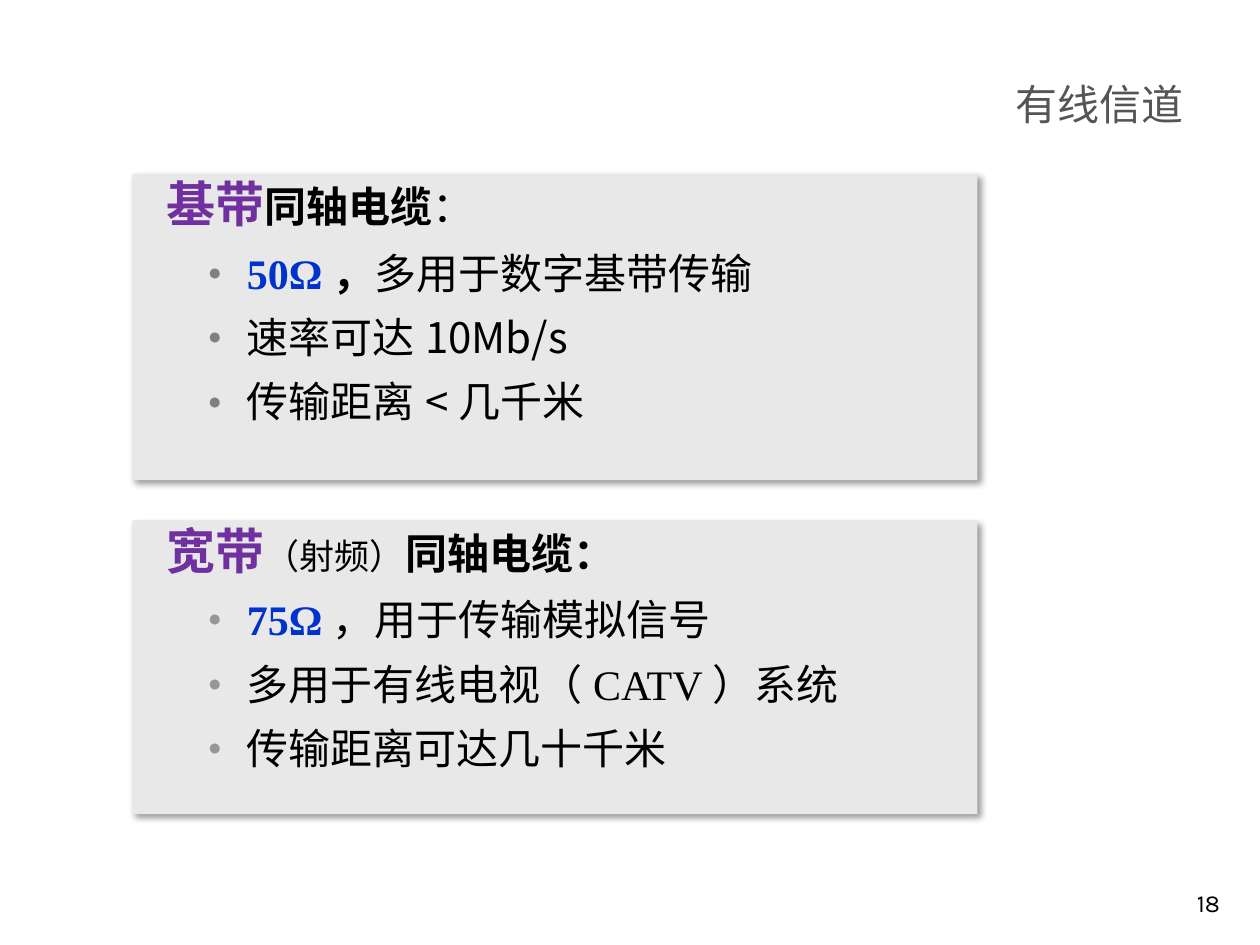
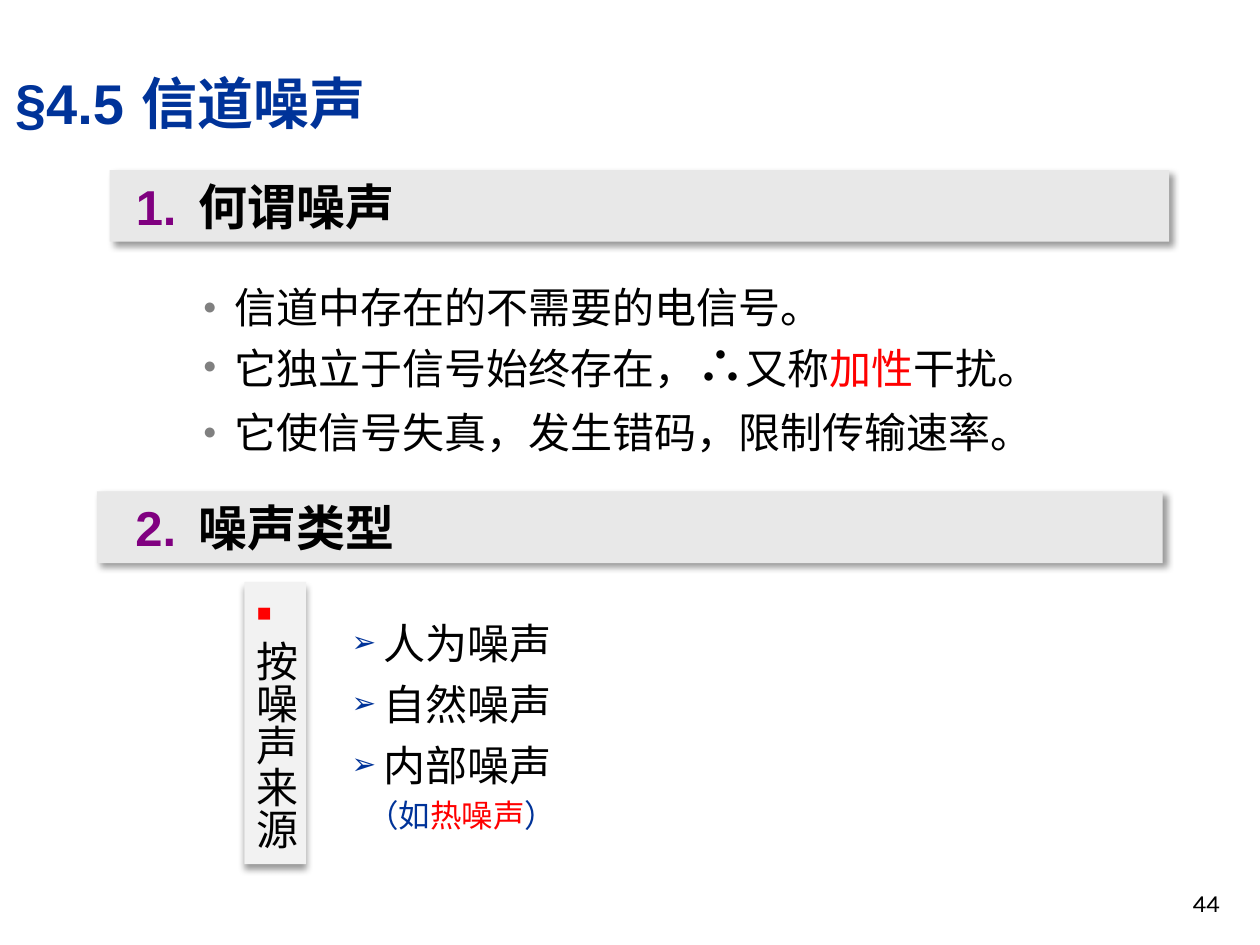
from lxml import etree
from pptx import Presentation
from pptx.dml.color import RGBColor
from pptx.enum.shapes import MSO_SHAPE
from pptx.enum.text import MSO_ANCHOR, MSO_AUTO_SIZE, PP_ALIGN
from pptx.oxml.ns import qn
from pptx.util import Pt

RECT = MSO_SHAPE.RECTANGLE
TOP, MIDDLE, BOTTOM = MSO_ANCHOR.TOP, MSO_ANCHOR.MIDDLE, MSO_ANCHOR.BOTTOM
LEFT, RIGHT = PP_ALIGN.LEFT, PP_ALIGN.RIGHT
NO_FIT = MSO_AUTO_SIZE.NONE
CJK, SANS, SERIF, NUMBER = "Noto Sans CJK SC", "Arial", "Times New Roman", "Karla"
BLACK, GRAY, PANEL, TAB_FILL = "000000", "555555", "E8E8E8", "F2F2F2"
NAVY, BLUE, RED, PURPLE, VIOLET = "003399", "0033CC", "FF0000", "800080", "7030A0"
DOT, PALE_DOT = "808080", "969696"
TWO_CONTENT = 3


def rgb(value):
    """Turn a hex string into a colour."""
    return RGBColor.from_string(value)


def sub(parent, tag, **attrs):
    """Append a drawing element and return it."""
    return etree.SubElement(parent, qn("a:" + tag), {k: str(v) for k, v in attrs.items()})


def add_run(p, text, size=24, color=BLACK, bold=False, font=CJK, asian=CJK):
    """Add a formatted run to a paragraph."""
    r = p.add_run()
    r.text = text
    r.font.size, r.font.bold, r.font.name = Pt(size), bold, font
    r.font.color.rgb = rgb(color)
    sub(r.font._element, "ea", typeface=asian)


def add_para(tf, runs, align=LEFT, line=None, before=0, margin=0, hang=0,
             bullet=None, bullet_color=DOT, bullet_size=55, tab=None):
    """Add a paragraph made of (text, format) runs."""
    p = tf.paragraphs[0]
    if p.runs:
        p = tf.add_paragraph()
    else:
        before = 0
    pPr = p._p.get_or_add_pPr()
    pPr.set("marL", str(Pt(margin)))
    pPr.set("indent", str(Pt(-hang)))
    if bullet:
        sub(sub(pPr, "buClr"), "srgbClr", val=bullet_color)
        sub(pPr, "buSzPct", val=bullet_size * 1000)
        sub(pPr, "buFont", typeface=SANS)
        sub(pPr, "buChar", char=bullet)
    else:
        sub(pPr, "buNone")
    if tab:
        sub(sub(pPr, "tabLst"), "tab", pos=Pt(tab), algn="l")
    p.alignment, p.space_before = align, Pt(before)
    p.line_spacing = line or 1.0
    for text, fmt in runs:
        add_run(p, text, **fmt)


def set_frame(sp, box, anchor=TOP, inset=7.2):
    """Place a shape and return its prepared text frame."""
    sp.left, sp.top, sp.width, sp.height = map(Pt, box)
    tf = sp.text_frame
    tf.word_wrap, tf.auto_size, tf.vertical_anchor = True, NO_FIT, anchor
    tf.margin_left = Pt(inset)
    return tf


def set_panel(sp, fill, angle=45):
    """Give a shape a plain fill and a soft drop shadow."""
    sp.fill.solid()
    sp.fill.fore_color.rgb = rgb(fill)
    sp.line.fill.background()
    sp.shadow.inherit = False
    effects = sp._element.spPr.find(qn("a:effectLst"))
    shadow = sub(effects, "outerShdw", blurRad=Pt(4), dist=Pt(3),
                 dir=angle * 60000, algn="ctr", rotWithShape=0)
    sub(sub(shadow, "srgbClr", val=BLACK), "alpha", val=40000)


def add_title(s, box, runs, tab=None):
    """Fill the title placeholder."""
    add_para(set_frame(s.shapes.title, box, MIDDLE), runs, tab=tab)


def add_page_number(s, number):
    """Add the page number at the lower right."""
    box = (554.4, 491.8, 149.8, 36)
    tf = set_frame(s.shapes.add_textbox(*map(Pt, box)), box, BOTTOM)
    add_para(tf, [(number, dict(size=14, font=NUMBER))], RIGHT)


def add_cable_panel(sp, box, heading, items, bullet_color):
    """Fill a shaded panel with a heading and its bullets."""
    set_panel(sp, PANEL)
    tf = set_frame(sp, box)
    add_para(tf, heading, line=0.9, margin=12.6)
    for item in items:
        add_para(tf, item, line=Pt(32), before=4.8, margin=58.3, hang=22.3,
                 bullet="●", bullet_color=bullet_color)


def add_band(s, box, inset, number, text):
    """Add a numbered section band."""
    sp = s.shapes.add_shape(RECT, *map(Pt, box))
    set_panel(sp, PANEL)
    add_para(set_frame(sp, box, MIDDLE, inset),
             [(number + "\t", dict(size=28, color=PURPLE, bold=True, font=SANS)),
              (text, dict(size=28, bold=True))], tab=38)


def add_list(sp, box, items, line, **bullet):
    """Fill a body placeholder with a bulleted list."""
    tf = set_frame(sp, box)
    for item in items:
        add_para(tf, item, line=Pt(line), before=4.8, margin=18, hang=18, **bullet)
    return tf


def add_upright_label(s, box, text):
    """Add a narrow label that stacks its characters under a red square."""
    sp = s.shapes.add_shape(RECT, *map(Pt, box))
    set_panel(sp, TAB_FILL, 90)
    tf = set_frame(sp, box)
    add_para(tf, [("■", dict(size=14, color=RED, font=SANS, asian=SANS))], line=Pt(22))
    add_para(tf, [(text, {})], line=Pt(24), before=10)


def build_cables(s):
    """Build the slide on wired channels."""
    add_title(s, (573, 41, 130, 36), [("有线信道", dict(color=GRAY))])
    big = dict(size=28, color=VIOLET, bold=True)
    bold = dict(bold=True)
    ohm = dict(color=BLUE, bold=True, font=SERIF)
    baseband, broadband = s.placeholders[1], s.placeholders[2]
    add_cable_panel(
        baseband, (75.6, 99.4, 483, 175),
        [("基带", big), ("同轴电缆", bold), ("：", dict(font=SERIF))],
        [[("50Ω", ohm), ("，", dict(bold=True, font=SERIF)), ("多用于数字基带传输", {})],
         [("速率可达10Mb/s", {})],
         [("传输距离<几千米", {})]], DOT)
    add_cable_panel(
        broadband, (75.6, 297.4, 483, 167.8),
        [("宽带", big), ("（射频）", dict(size=20)), ("同轴电缆：", bold)],
        [[("75Ω", ohm), ("，用于传输模拟信号", {})],
         [("多用于有线电视", {}), ("（CATV）", dict(font=SERIF)), ("系统", {})],
         [("传输距离可达几十千米", {})]], PALE_DOT)
    add_page_number(s, "18")


def build_noise(s):
    """Build the slide on channel noise."""
    title = dict(size=32, color=NAVY, bold=True)
    add_title(s, (1.4, 35.3, 289, 46),
              [("§4.5\t", dict(title, font=SANS)), ("信道噪声", title)], tab=88)
    add_band(s, (62.6, 97.2, 605.5, 41), 15, "1.", "何谓噪声")
    add_list(s.placeholders[1], (108.7, 155, 500.4, 113),
             [[("信道中存在的不需要的电信号。", {})],
              [("它独立于信号始终存在，", {}), ("∴", dict(size=28, bold=True)),
               ("又称", {}), ("加性", dict(color=RED)), ("干扰。", {})],
              [("它使信号失真，发生错码，限制传输速率。", {})]], 31, bullet="●")
    add_band(s, (55.4, 280.8, 609, 41), 22, "2.", "噪声类型")
    add_upright_label(s, (139.7, 332.6, 35.3, 161.3), "按噪声来源")
    sources = [[(kind + "噪声", {})] for kind in ("人为", "自然", "内部")]
    tf = add_list(s.placeholders[2], (193.7, 348, 139.7, 136), sources, 30,
                  bullet="➢", bullet_color=NAVY, bullet_size=70)
    add_para(tf, [("（如", dict(size=18, color=NAVY)), ("热噪声", dict(size=18, color=RED)),
                  ("）", dict(size=18, color=NAVY))], before=3.6, margin=9)
    add_page_number(s, "44")


def main():
    """Build and save the presentation."""
    prs = Presentation()
    prs.slide_width, prs.slide_height = Pt(720), Pt(540)
    for build in (build_cables, build_noise):
        build(prs.slides.add_slide(prs.slide_layouts[TWO_CONTENT]))
    prs.save("out.pptx")


if __name__ == "__main__":
    main()
